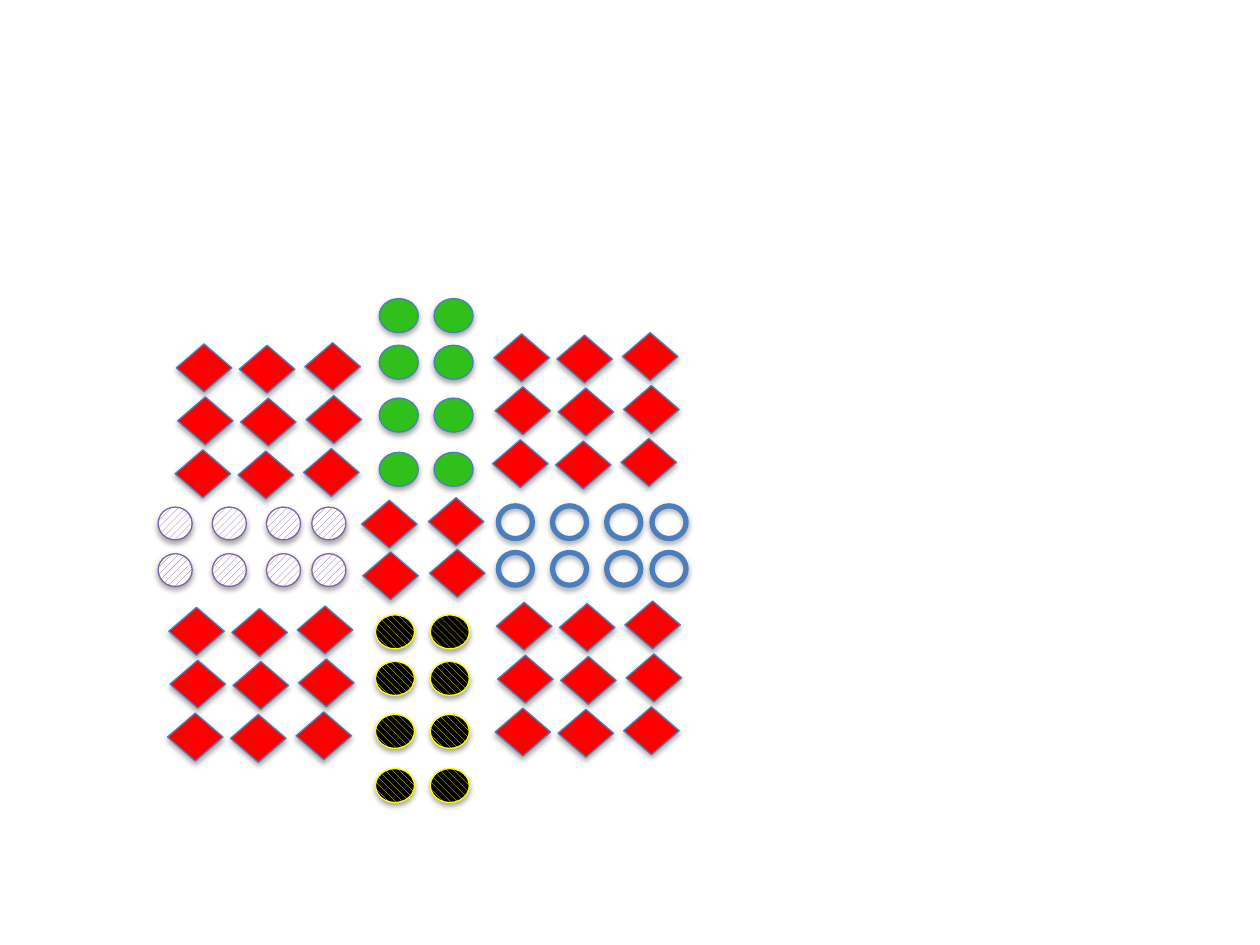
from pptx import Presentation
from pptx.dml.color import RGBColor
from pptx.enum.dml import MSO_PATTERN as Pattern
from pptx.enum.shapes import MSO_SHAPE as Shape
from pptx.util import Inches, Pt

RED, GREEN, BLUE = "FF0000", "2FC01B", "4B7EBC"
YELLOW, BLACK, PURPLE, WHITE = "FFFF00", "000000", "8064A2", "FFFFFF"

DIAMOND_SIZE = (0.44, 0.38)
COLUMN_SIZE = (0.31, 0.27)
ROW_SIZE = (0.26, 0.27)
PAIR_STEP = 0.435
ROW_STEP = 0.37


def color(hex_code):
    """Turn a hex string into a colour."""
    return RGBColor.from_string(hex_code)


def paint(mark, fill, line, width):
    """Give a mark its fill (solid, pattern or none) and outline."""
    if fill is None:
        mark.fill.background()
    elif isinstance(fill, str):
        mark.fill.solid()
        mark.fill.fore_color.rgb = color(fill)
    else:
        pattern, fore, back = fill
        mark.fill.patterned()
        mark.fill.pattern = pattern
        mark.fill.fore_color.rgb = color(fore)
        mark.fill.back_color.rgb = color(back)
    mark.line.color.rgb = color(line)
    mark.line.width = Pt(width)


def add_grid(slide, kind, left, top, size, columns, rows, fill, line,
             width=0.75, rotation=0):
    """Place marks on a grid of (dx, dy) column and row offsets."""
    for column_dx, column_dy in columns:
        for row_dx, row_dy in rows:
            mark = slide.shapes.add_shape(
                kind, Inches(left + column_dx + row_dx),
                Inches(top + column_dy + row_dy), *map(Inches, size))
            mark.rotation = rotation
            paint(mark, fill, line, width)


def add_diamond_block(slide, left, top):
    """Place a three by three block of slightly skewed diamonds."""
    add_grid(slide, Shape.DIAMOND, left, top, DIAMOND_SIZE,
             [(0, 0), (0.5, 0.01), (1.02, -0.01)],
             [(0, 0), (0.01, 0.42), (-0.01, 0.84)], RED, BLUE)


def add_center_block(slide, left, top):
    """Place the two by two block of diamonds in the middle."""
    add_grid(slide, Shape.DIAMOND, left, top, DIAMOND_SIZE,
             [(0, 0), (0.53, -0.02)], [(0, 0), (0.01, 0.41)], RED, BLUE)


def add_circle_columns(slide, left, top, fill, line):
    """Place two columns of four circles."""
    add_grid(slide, Shape.OVAL, left, top, COLUMN_SIZE,
             [(0, 0), (PAIR_STEP, 0)],
             [(0, dy) for dy in (0, 0.37, 0.79, 1.22)], fill, line)


def add_circle_rows(slide, left, top, fill, line, width):
    """Place two rows of four turned circles."""
    add_grid(slide, Shape.OVAL, left, top, ROW_SIZE,
             [(dx, 0) for dx in (0, 0.43, 0.86, 1.22)],
             [(0, 0), (0, ROW_STEP)], fill, line, width, rotation=90)


def main():
    """Build the slide and save it."""
    deck = Presentation()
    deck.slide_width, deck.slide_height = Inches(10), Inches(7.5)
    slide = deck.slides.add_slide(deck.slide_layouts[6])

    add_circle_columns(slide, 3.01, 2.37, GREEN, BLUE)
    add_circle_columns(slide, 2.98, 4.88,
                       (Pattern.WIDE_DOWNWARD_DIAGONAL, YELLOW, BLACK), YELLOW)
    add_circle_rows(slide, 3.96, 4.01, None, BLUE, 3)
    add_circle_rows(slide, 1.26, 4.02,
                    (Pattern.WIDE_UPWARD_DIAGONAL, PURPLE, WHITE), PURPLE, 0.75)
    add_diamond_block(slide, 3.92, 2.65)
    add_center_block(slide, 2.87, 3.97)
    for left, top in [(3.94, 4.78), (1.4, 2.73), (1.34, 4.82)]:
        add_diamond_block(slide, left, top)

    deck.save("out.pptx")


if __name__ == "__main__":
    main()
